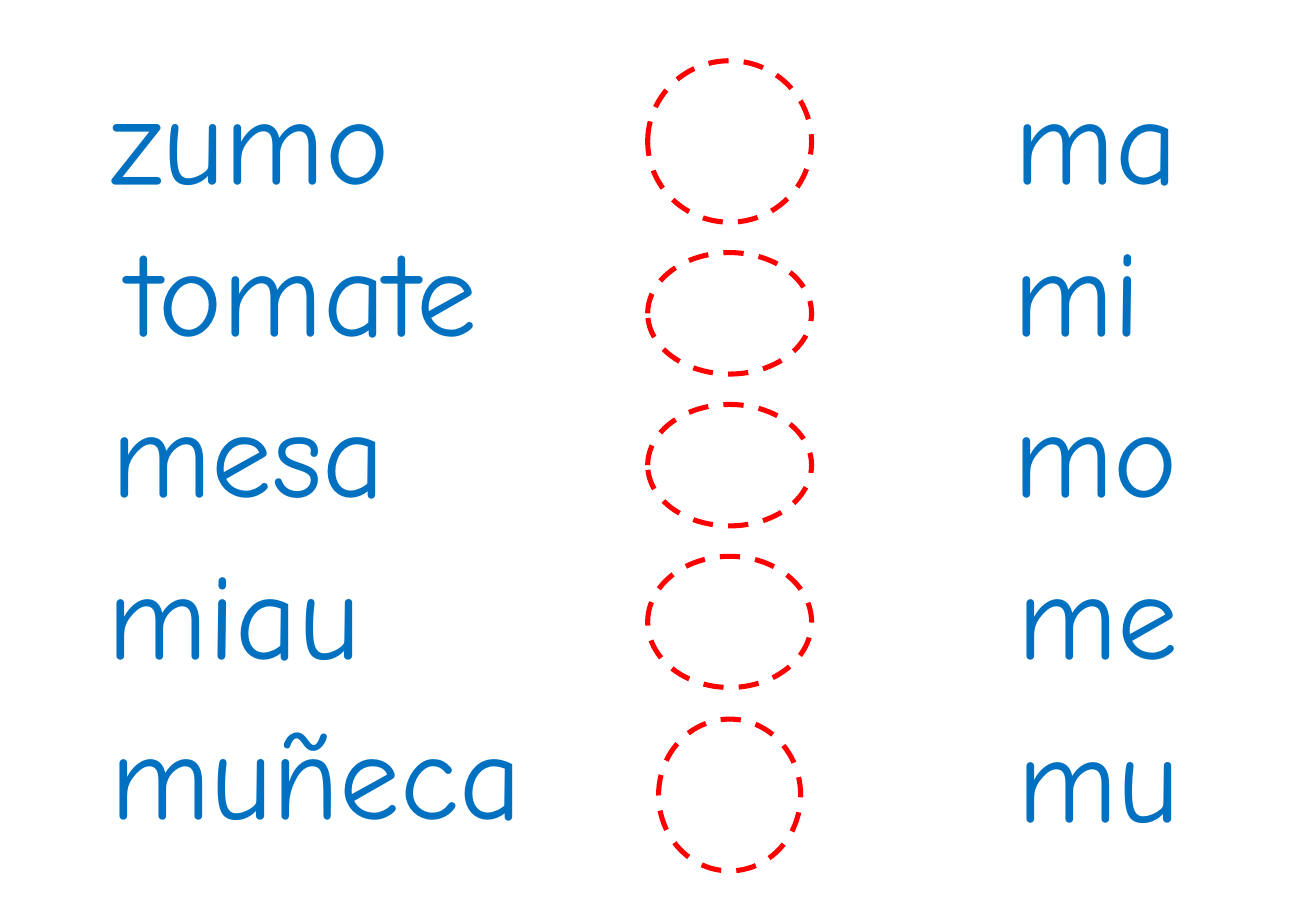
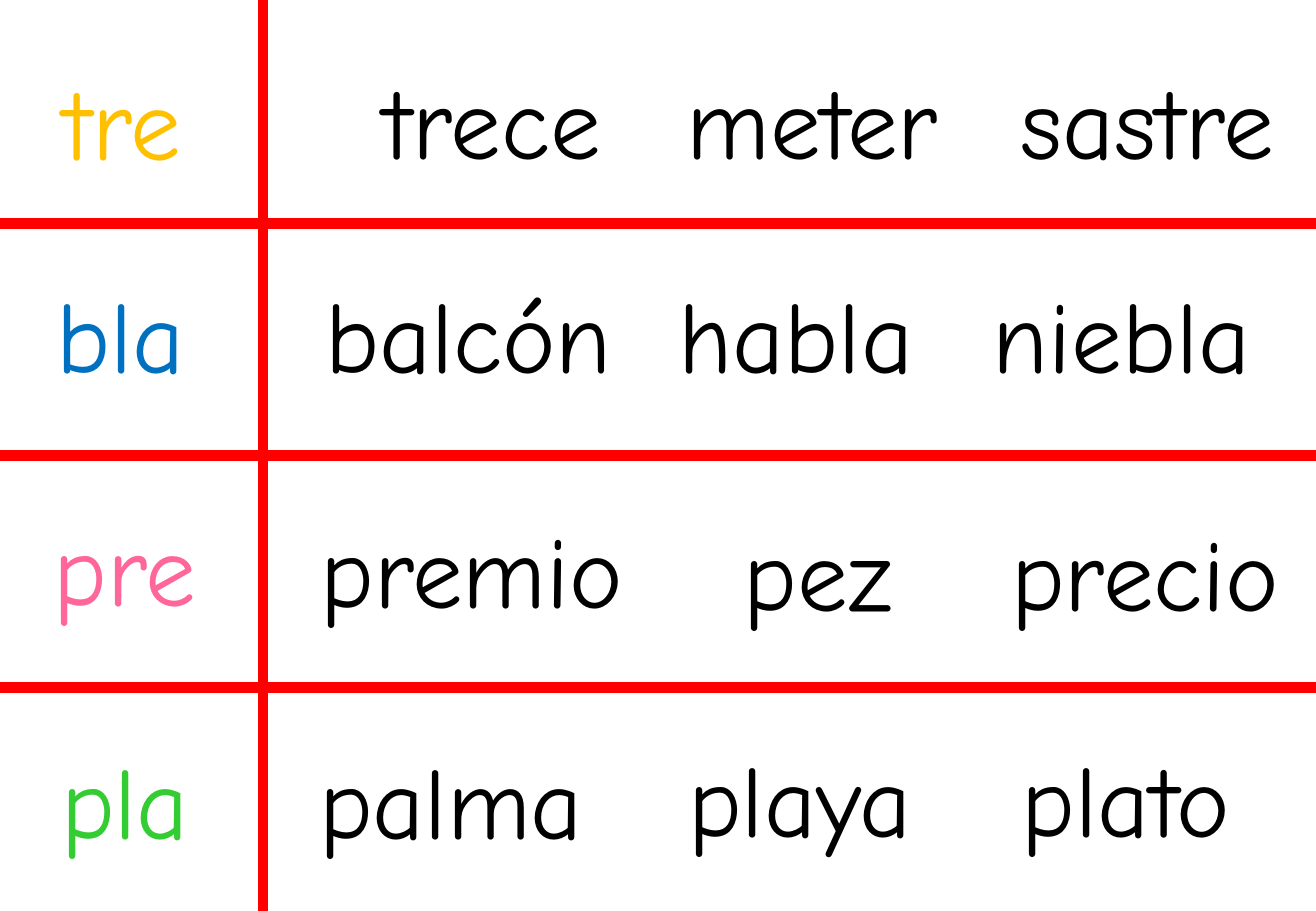
import pptx
import pptx.util
import pptx.dml.color
import pptx.enum.dml
import pptx.enum.shapes
import pptx.enum.text
import pptx.oxml

Inches = pptx.util.Inches
Pt = pptx.util.Pt
ALIGN = pptx.enum.text.PP_ALIGN

WIDTH, HEIGHT = 10.84, 7.5
FONT = "Comic Neue"
WORD_SLACK = 0.03
COLORS = {"blue": "0070C0", "red": "FF0000", "amber": "FFC000",
          "pink": "FF6699", "green": "33CC33", "black": "000000"}

MATCH_WORDS = [
    ("zumo", 0.81, 0.47, 2.5), ("tomate", 0.95, 1.72, 3.14),
    ("mesa", 0.82, 3.05, 2.46), ("miau", 0.79, 4.38, 2.28),
    ("muñeca", 0.81, 5.7, 3.59),
]
MATCH_SYLLABLES = [
    ("ma", 8.26, 0.47, 1.54), ("mi", 8.25, 1.72, 1.25),
    ("mo", 8.25, 3.05, 1.55), ("me", 8.28, 4.38, 1.53),
    ("mu", 8.28, 5.72, 1.54),
]
RING_CENTER = 6.01
RINGS = [(0.5, 1.35, 1.33), (2.08, 1.35, 1), (3.33, 1.35, 1),
         (4.58, 1.35, 1.08), (5.92, 1.17, 1.25)]

ROW_SYLLABLES = [
    ("amber", ("tre", 0.4, 0.44, 1.18)), ("blue", ("bla", 0.35, 2.19, 1.26)),
    ("pink", ("pre", 0.32, 4.11, 1.39)), ("green", ("pla", 0.39, 6.03, 1.25)),
]
ROW_WORDS = [
    ("trece", 3.06, 0.43, 2), ("meter", 5.56, 0.43, 2.29), ("sastre", 8.31, 0.43, 2.31),
    ("balcón", 2.58, 2.19, 2.56), ("habla", 5.49, 2.19, 2.13), ("niebla", 8.08, 2.19, 2.32),
    ("premio", 2.54, 4.13, 2.71), ("pez", 6.03, 4.15, 1.42), ("precio", 8.23, 4.15, 2.42),
    ("palma", 2.53, 6.03, 2.37), ("playa", 5.57, 6.01, 2.06), ("plato", 8.32, 6.01, 1.93),
]
COLUMN_RULE = 2.17
FIRST_ROW_RULE, ROW_HEIGHT = 1.84, 1.91


def rgb(color):
    return pptx.dml.color.RGBColor.from_string(COLORS[color])


def apply_format(target, values):
    for attribute, value in values.items():
        setattr(target, attribute, value)


def add_word(slide, word, size, color, align=ALIGN.LEFT):
    text, left, top, width = word
    height = 1.3 if size == 72 else 1.1
    box = slide.shapes.add_textbox(Inches(left), Inches(top),
                                   Inches(width + WORD_SLACK), Inches(height))
    frame = box.text_frame
    apply_format(frame, {"word_wrap": False,
                         "auto_size": pptx.enum.text.MSO_AUTO_SIZE.SHAPE_TO_FIT_TEXT})
    paragraph = frame.paragraphs[0]
    apply_format(paragraph, {"text": text, "alignment": align})
    font = paragraph.runs[0].font
    apply_format(font, {"name": FONT, "size": Pt(size)})
    font.color.rgb = rgb(color)


def add_ring(slide, top, width, height):
    ring = slide.shapes.add_shape(pptx.enum.shapes.MSO_SHAPE.OVAL,
                                  Inches(RING_CENTER - width / 2), Inches(top),
                                  Inches(width), Inches(height))
    ring.shadow.inherit = False
    ring.fill.background()
    ring.line.color.rgb = rgb("red")
    apply_format(ring.line, {"width": Pt(3),
                             "dash_style": pptx.enum.dml.MSO_LINE.DASH})


def add_rule(slide, *ends):
    rule = slide.shapes.add_connector(pptx.enum.shapes.MSO_CONNECTOR.STRAIGHT,
                                      *map(Inches, ends))
    rule.line.color.rgb = rgb("red")
    rule.line.width = Pt(6)
    properties = rule._element.spPr
    properties.append(properties.makeelement(pptx.oxml.ns.qn("a:effectLst"), {}))


def build_matching(slide):
    for word in MATCH_WORDS + MATCH_SYLLABLES:
        add_word(slide, word, 72, "blue")
    for ring in RINGS:
        add_ring(slide, *ring)


def build_syllable_rows(slide):
    add_rule(slide, COLUMN_RULE, 0, COLUMN_RULE, HEIGHT)
    for row in range(len(ROW_SYLLABLES) - 1):
        y = FIRST_ROW_RULE + row * ROW_HEIGHT
        add_rule(slide, 0, y, WIDTH, y)
    for color, syllable in ROW_SYLLABLES:
        add_word(slide, syllable, 60, color, ALIGN.CENTER)
    for word in ROW_WORDS:
        add_word(slide, word, 60, "black")


def main():
    deck = pptx.Presentation()
    apply_format(deck, {"slide_width": Inches(WIDTH), "slide_height": Inches(HEIGHT)})
    for build in (build_matching, build_syllable_rows):
        build(deck.slides.add_slide(deck.slide_layouts[6]))
    deck.save("out.pptx")


if __name__ == "__main__":
    main()
